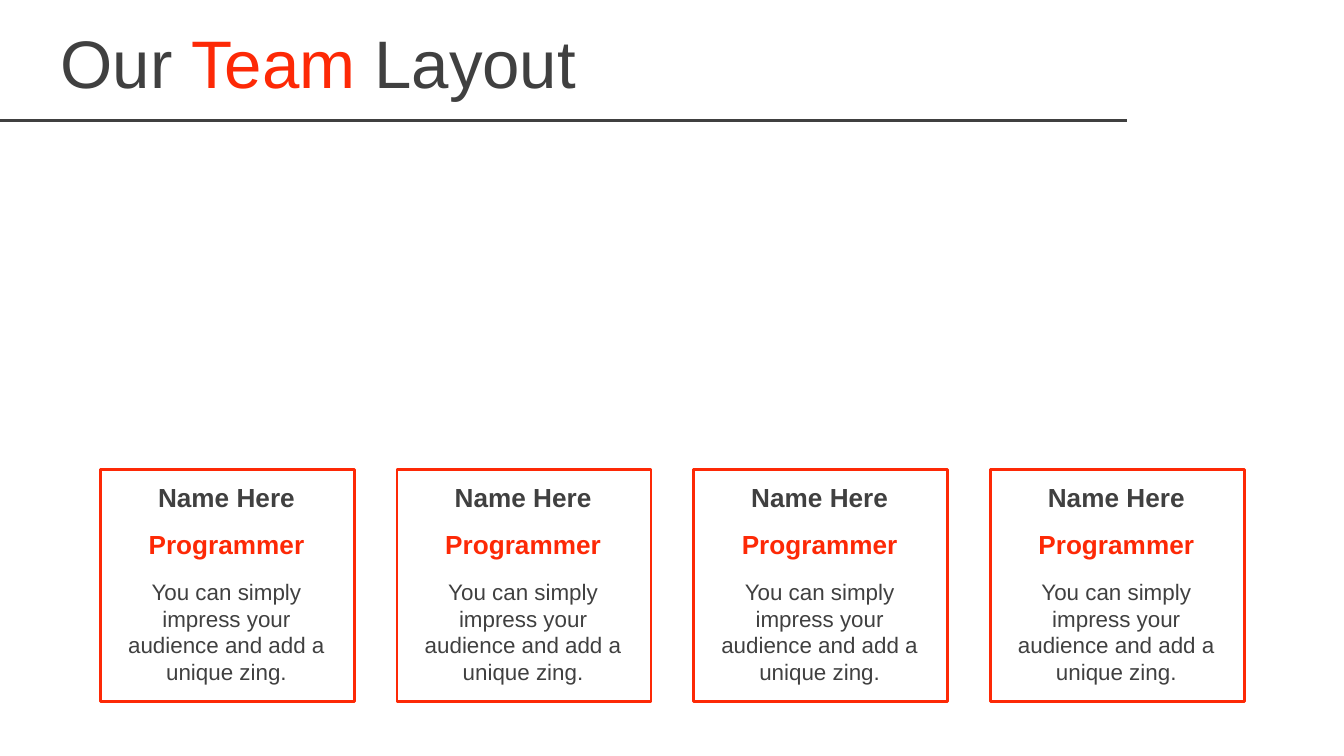
import pptx
import pptx.dml.color
import pptx.enum.shapes
import pptx.enum.text
import pptx.oxml.xmlchemy
import pptx.util
from lxml import etree

Pt = pptx.util.Pt
DARK = "404040"
RED = "FD2906"
CARD_LEFT = 53.75
CARD_PITCH = 158.9
CARD_TOP = 251.4
MEMBERS = [
    ("Name Here", "Programmer", "You can simply impress your audience and add a unique zing.")
] * 4


def colour(hex_string):
    """Return the RGB colour for a hex string."""
    return pptx.dml.color.RGBColor.from_string(hex_string)


def set_attributes(target, values):
    """Set each named attribute of the target."""
    for name, value in values.items():
        setattr(target, name, value)


def add_text(shapes, box, runs, font, alignment="LEFT", anchor="MIDDLE"):
    """Add a text box holding one paragraph of (text, colour) runs."""
    shape = shapes.add_textbox(*map(Pt, box))
    set_attributes(shape.text_frame, {
        "word_wrap": True,
        "vertical_anchor": getattr(pptx.enum.text.MSO_ANCHOR, anchor),
    })
    paragraph = shape.text_frame.paragraphs[0]
    paragraph.alignment = getattr(pptx.enum.text.PP_ALIGN, alignment)
    for text, hex_string in runs:
        run = paragraph.add_run()
        run.text = text
        set_attributes(run.font, {"name": "Arial", **font})
        run.font.color.rgb = colour(hex_string)


def add_rule(slide, left, right, top):
    """Add the horizontal line under the title."""
    connector = slide.shapes.add_connector(
        pptx.enum.shapes.MSO_CONNECTOR.STRAIGHT, Pt(left), Pt(top), Pt(right), Pt(top))
    connector.line.width = Pt(1.5)
    connector.line.color.rgb = colour(DARK)
    properties = connector.line._get_or_add_ln().getparent()
    etree.SubElement(properties, pptx.oxml.ns.qn("a:effectLst"))


def add_frame(slide, box):
    """Add an unfilled rectangle with a red outline."""
    shape = slide.shapes.add_shape(
        pptx.enum.shapes.MSO_SHAPE.RECTANGLE, *map(Pt, box))
    shape.shadow.inherit = False
    shape.fill.background()
    shape.line.width = Pt(1.5)
    shape.line.color.rgb = colour(RED)


def add_member(slide, left, member):
    """Add the grouped name, role and description of one member, and their frame."""
    name, role, description = member
    group = slide.shapes.add_group_shape()
    text_left, width = left + 5.3, 124.6
    heading = {"size": Pt(14), "bold": True}
    add_text(group.shapes, (text_left, 256.5, width, 19.5), [(name, DARK)], heading, "CENTER")
    add_text(group.shapes, (text_left, 281.8, width, 19.5), [(role, RED)], heading, "CENTER")
    add_text(group.shapes, (text_left, 306, width, 65.5), [(description, DARK)],
             {"size": Pt(12)}, "CENTER", "TOP")
    add_frame(slide, (left, CARD_TOP, 136.1, 124.6))


def main():
    """Build and save the team slide."""
    presentation = pptx.Presentation()
    set_attributes(presentation, {"slide_width": Pt(720), "slide_height": Pt(405)})
    slide = presentation.slides.add_slide(presentation.slide_layouts[6])
    add_rule(slide, -0.5, 603.9, 64.4)
    add_text(slide.shapes, (25.4, 10.2, 578.3, 45.4),
             [("Our ", DARK), ("Team", RED), (" Layout", DARK)], {"size": Pt(36)})
    for index, member in enumerate(MEMBERS):
        add_member(slide, CARD_LEFT + index * CARD_PITCH, member)
    presentation.save("out.pptx")


if __name__ == "__main__":
    main()
